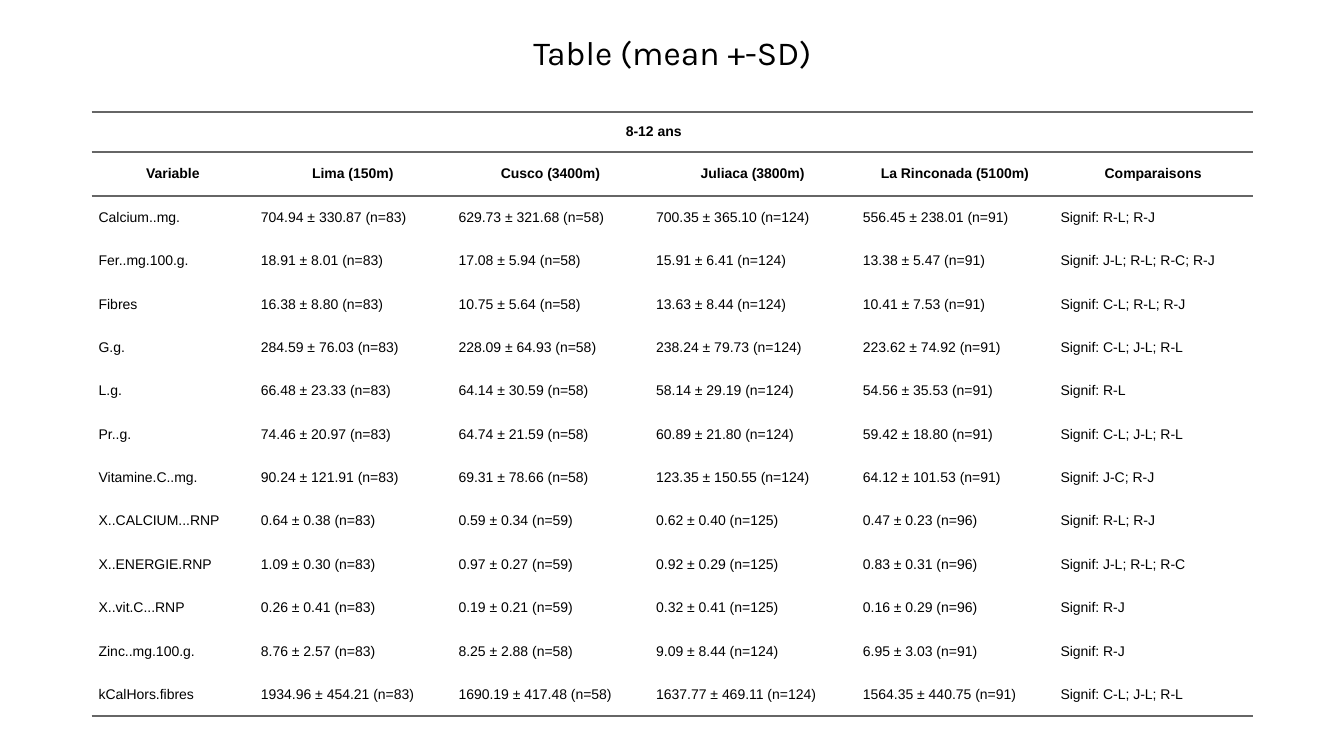
from lxml.etree import SubElement
from pptx import Presentation
from pptx.dml.color import RGBColor
from pptx.enum.text import MSO_ANCHOR, PP_ALIGN
from pptx.oxml.ns import qn
from pptx.util import Cm, Pt

TITLE = "Table (mean +-SD)"
GROUP = "8-12 ans"
HEADS = ["Variable", "Lima (150m)", "Cusco (3400m)", "Juliaca (3800m)",
         "La Rinconada (5100m)", "Comparaisons"]
DATA = [
    ["Calcium..mg.", "704.94 ± 330.87 (n=83)", "629.73 ± 321.68 (n=58)",
     "700.35 ± 365.10 (n=124)", "556.45 ± 238.01 (n=91)", "Signif: R-L; R-J"],
    ["Fer..mg.100.g.", "18.91 ± 8.01 (n=83)", "17.08 ± 5.94 (n=58)",
     "15.91 ± 6.41 (n=124)", "13.38 ± 5.47 (n=91)", "Signif: J-L; R-L; R-C; R-J"],
    ["Fibres", "16.38 ± 8.80 (n=83)", "10.75 ± 5.64 (n=58)",
     "13.63 ± 8.44 (n=124)", "10.41 ± 7.53 (n=91)", "Signif: C-L; R-L; R-J"],
    ["G.g.", "284.59 ± 76.03 (n=83)", "228.09 ± 64.93 (n=58)",
     "238.24 ± 79.73 (n=124)", "223.62 ± 74.92 (n=91)", "Signif: C-L; J-L; R-L"],
    ["L.g.", "66.48 ± 23.33 (n=83)", "64.14 ± 30.59 (n=58)",
     "58.14 ± 29.19 (n=124)", "54.56 ± 35.53 (n=91)", "Signif: R-L"],
    ["Pr..g.", "74.46 ± 20.97 (n=83)", "64.74 ± 21.59 (n=58)",
     "60.89 ± 21.80 (n=124)", "59.42 ± 18.80 (n=91)", "Signif: C-L; J-L; R-L"],
    ["Vitamine.C..mg.", "90.24 ± 121.91 (n=83)", "69.31 ± 78.66 (n=58)",
     "123.35 ± 150.55 (n=124)", "64.12 ± 101.53 (n=91)", "Signif: J-C; R-J"],
    ["X..CALCIUM...RNP", "0.64 ± 0.38 (n=83)", "0.59 ± 0.34 (n=59)",
     "0.62 ± 0.40 (n=125)", "0.47 ± 0.23 (n=96)", "Signif: R-L; R-J"],
    ["X..ENERGIE.RNP", "1.09 ± 0.30 (n=83)", "0.97 ± 0.27 (n=59)",
     "0.92 ± 0.29 (n=125)", "0.83 ± 0.31 (n=96)", "Signif: J-L; R-L; R-C"],
    ["X..vit.C...RNP", "0.26 ± 0.41 (n=83)", "0.19 ± 0.21 (n=59)",
     "0.32 ± 0.41 (n=125)", "0.16 ± 0.29 (n=96)", "Signif: R-J"],
    ["Zinc..mg.100.g.", "8.76 ± 2.57 (n=83)", "8.25 ± 2.88 (n=58)",
     "9.09 ± 8.44 (n=124)", "6.95 ± 3.03 (n=91)", "Signif: R-J"],
    ["kCalHors.fibres", "1934.96 ± 454.21 (n=83)", "1690.19 ± 417.48 (n=58)",
     "1637.77 ± 469.11 (n=124)", "1564.35 ± 440.75 (n=91)", "Signif: C-L; J-L; R-L"],
]
WIDTHS = [4.09, 4.98, 4.98, 5.21, 4.98, 5.02]
INK, RULE = "000000", "666666"
PAD = Pt(5)


def color(code):
    return RGBColor.from_string(code)


def style(para, face, size, bold=False):
    for run in para.runs:
        font = run.font
        font.name, font.size, font.bold = face, Pt(size), bold
        font.color.rgb = color(INK)


def border(cell, sides):
    """Rule the given sides of a cell and clear the others."""
    props = cell._tc.get_or_add_tcPr()
    for side in "LRTB":
        line = SubElement(props, qn(f"a:ln{side}"), w=str(Pt(1.5)))
        if side in sides:
            fill = SubElement(line, qn("a:solidFill"))
            SubElement(fill, qn("a:srgbClr"), val=RULE)
        else:
            SubElement(line, qn("a:noFill"))


def write(cell, text, head):
    cell.margin_left = cell.margin_right = 0
    cell.margin_top = cell.margin_bottom = PAD
    cell.vertical_anchor = MSO_ANCHOR.MIDDLE
    para = cell.text_frame.paragraphs[0]
    para.text = text
    para.alignment = PP_ALIGN.CENTER if head else PP_ALIGN.LEFT
    para.space_before = para.space_after = PAD
    props = para._p.get_or_add_pPr()
    for key in ("marL", "marR"):
        props.set(key, str(PAD))
    style(para, "Arial", 10, head)


def add_title(slide, left, top, width, height):
    frame = slide.shapes.add_textbox(left, top, width, height).text_frame
    frame.word_wrap = True
    frame.vertical_anchor = MSO_ANCHOR.MIDDLE
    para = frame.paragraphs[0]
    para.text = TITLE
    para.alignment = PP_ALIGN.CENTER
    para.line_spacing = 0.9
    style(para, "Karla", 24)


def add_grid(slide, left, top, width, height):
    rows = [["", GROUP, "", "", "", ""], HEADS] + DATA
    last = len(rows) - 1
    table = slide.shapes.add_table(
        len(rows), len(HEADS), left, top, width, height).table
    table.first_row = table.horz_banding = False
    for col, size in zip(table.columns, WIDTHS):
        col.width = Cm(size)
    first = Cm(1.02)
    for r, texts in enumerate(rows):
        table.rows[r].height = (height - first) // last if r else first
        sides = ("T" if r <= 2 else "") + ("B" if r in (0, 1, last) else "")
        for c, text in enumerate(texts):
            cell = table.cell(r, c)
            border(cell, sides)
            cell.fill.background()
            if text:
                write(cell, text, r < 2)
    table.cell(0, 1).merge(table.cell(0, 4))


def main():
    deck = Presentation()
    deck.slide_width, deck.slide_height = Cm(33.87), Cm(19.05)
    slide = deck.slides.add_slide(deck.slide_layouts[6])
    add_title(slide, Cm(1.17), Cm(-0.46), Cm(31.55), Cm(3.68))
    add_grid(slide, Cm(2.31), Cm(2.82), Cm(sum(WIDTHS)), Cm(15.24))
    deck.save("out.pptx")


if __name__ == "__main__":
    main()
